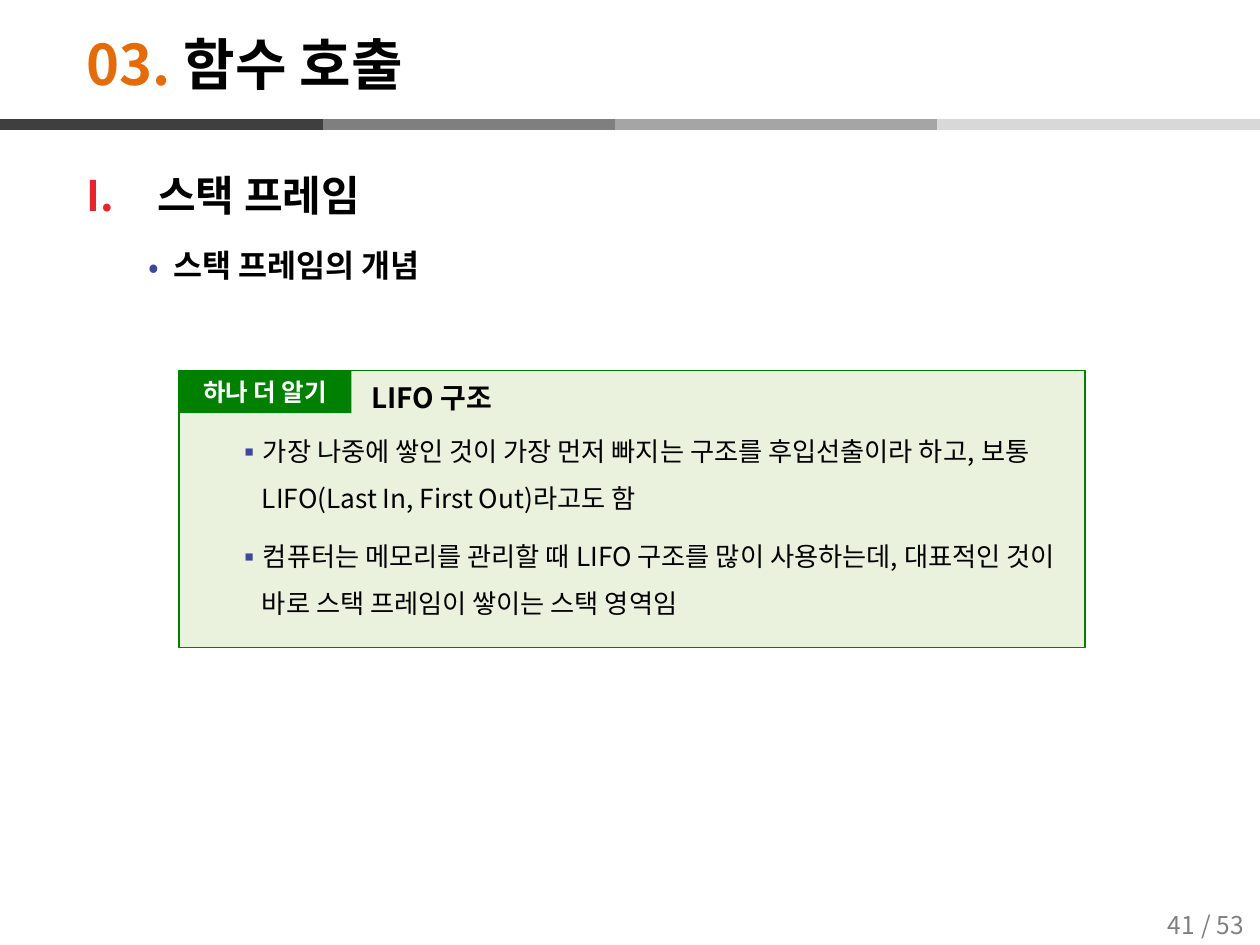
"""Build the slide on function calls and the stack frame."""
import dataclasses
import typing

import lxml.etree
import pptx
import pptx.dml.color
import pptx.enum.shapes
import pptx.enum.text
import pptx.oxml.ns
import pptx.util

Inches = pptx.util.Inches
Pt = pptx.util.Pt
RGBColor = pptx.dml.color.RGBColor
Align = pptx.enum.text.PP_ALIGN
Anchor = pptx.enum.text.MSO_ANCHOR
qn = pptx.oxml.ns.qn

FONT = "Noto Sans CJK KR"
BLACK = RGBColor(0x00, 0x00, 0x00)
WHITE = RGBColor(0xFF, 0xFF, 0xFF)
GRAY = RGBColor(0x7F, 0x7F, 0x7F)
ORANGE = RGBColor(0xE3, 0x6C, 0x09)
RED = RGBColor(0xE5, 0x24, 0x2C)
BLUE = RGBColor(0x3C, 0x47, 0x9D)
GREEN = RGBColor(0x00, 0x80, 0x00)
PALE = RGBColor(0xEA, 0xF1, 0xDD)


@dataclasses.dataclass
class Box:
    left: float
    top: float
    width: float
    height: float

    def sides(self) -> list:
        return [Inches(side) for side in dataclasses.astuple(self)]


@dataclasses.dataclass
class Stripe:
    left: float
    color: RGBColor


@dataclasses.dataclass
class Mark:
    kind: str
    sign: str
    color: RGBColor
    margin: float
    hang: float


ROMAN = Mark("buAutoNum", "romanUcPeriod", RED, 0.56, 0.56)
DOT = Mark("buChar", "•", BLUE, 0.69, 0.2)
SQUARE = Mark("buChar", "▪", BLUE, 0.49, 0.2)
STRIPES = [
    Stripe(2.32, GRAY),
    Stripe(4.88, RGBColor(0xA5, 0xA5, 0xA5)),
    Stripe(7.44, RGBColor(0xD8, 0xD8, 0xD8)),
    Stripe(0, RGBColor(0x3F, 0x3F, 0x3F)),
]
PAGES = [(9.35, "/ 53"), (9.02, "41")]
FACTS = [
    "가장 나중에 쌓인 것이 가장 먼저 빠지는 구조를 후입선출이라 하고, 보통 LIFO(Last In, First Out)라고도 함",
    "컴퓨터는 메모리를 관리할 때 LIFO 구조를 많이 사용하는데, 대표적인 것이 바로 스택 프레임이 쌓이는 스택 영역임",
]


def add_mark(para: typing.Any, mark: Mark) -> None:
    props = para._p.get_or_add_pPr()
    props.set("marL", str(Inches(mark.margin)))
    props.set("indent", str(-Inches(mark.hang)))
    tint = lxml.etree.SubElement(props, qn("a:buClr"))
    lxml.etree.SubElement(tint, qn("a:srgbClr")).set("val", str(mark.color))
    lxml.etree.SubElement(props, qn("a:buFont")).set("typeface", FONT)
    key = "type" if mark.kind == "buAutoNum" else "char"
    lxml.etree.SubElement(props, qn(f"a:{mark.kind}")).set(key, mark.sign)


def write(para: typing.Any, text: str, *, size: float, color: RGBColor = BLACK,
          bold: bool = False, align: Align = Align.LEFT, lines: float = 1,
          before: float = 0, mark: typing.Optional[Mark] = None) -> None:
    if mark:
        add_mark(para, mark)
    para.alignment = align
    para.line_spacing = lines
    para.space_before = Pt(before)
    run = para.add_run()
    run.text = text
    run.font.name = FONT
    run.font.size = Pt(size)
    run.font.bold = bold
    run.font.color.rgb = color
    face = lxml.etree.SubElement(run.font._element, qn("a:ea"))
    face.set("typeface", FONT)


def add_text(slide: typing.Any, box: Box, anchor: Anchor = Anchor.MIDDLE) -> typing.Any:
    frame = slide.shapes.add_textbox(*box.sides()).text_frame
    frame.word_wrap = True
    frame.vertical_anchor = anchor
    return frame


def add_rect(slide: typing.Any, box: Box, fill: RGBColor,
             edge: typing.Optional[RGBColor] = None) -> typing.Any:
    shape = slide.shapes.add_shape(pptx.enum.shapes.MSO_SHAPE.RECTANGLE, *box.sides())
    shape.shadow.inherit = False
    shape.fill.solid()
    shape.fill.fore_color.rgb = fill
    if edge is None:
        shape.line.fill.background()
    else:
        shape.line.color.rgb = edge
        shape.line.width = Pt(1)
    return shape.text_frame


def add_stripe(slide: typing.Any, stripe: Stripe) -> None:
    line = slide.shapes.add_connector(
        pptx.enum.shapes.MSO_CONNECTOR.STRAIGHT, Inches(stripe.left), Inches(0.99),
        Inches(stripe.left + 2.56), Inches(0.99))
    line.line.color.rgb = stripe.color
    line.line.width = Pt(6)
    lxml.etree.SubElement(line._element.spPr, qn("a:effectLst"))


def main() -> None:
    deck = pptx.Presentation()
    deck.slide_width = Inches(10)
    deck.slide_height = Inches(7.5)
    slide = deck.slides.add_slide(deck.slide_layouts[6])

    for stripe in STRIPES:
        add_stripe(slide, stripe)
    for left, text in PAGES:
        page = add_text(slide, Box(left, 7.14, 0.71, 0.39))
        write(page.paragraphs[0], text, size=14, color=GRAY, align=Align.CENTER)

    title = add_text(slide, Box(0.59, 0.2, 7.48, 0.6)).paragraphs[0]
    write(title, "03. ", size=32, color=ORANGE, bold=True)
    write(title, "함수 호출", size=32, bold=True)

    body = add_text(slide, Box(0.59, 1.1, 9.21, 5.74), Anchor.TOP)
    write(body.paragraphs[0], "스택 프레임", size=24, bold=True, lines=1.5, mark=ROMAN)
    write(body.add_paragraph(), "스택 프레임의 개념", size=18, bold=True,
          lines=1.5, before=3.6, mark=DOT)

    add_rect(slide, Box(1.42, 2.94, 7.19, 2.2), PALE, GREEN)
    facts = add_text(slide, Box(1.49, 3.28, 7.05, 0.99), Anchor.TOP)
    for index, text in enumerate(FACTS):
        para = facts.add_paragraph() if index else facts.paragraphs[0]
        write(para, text, size=15, lines=1.5, before=6 if index else 0, mark=SQUARE)

    label = add_rect(slide, Box(1.42, 2.94, 1.37, 0.34), GREEN)
    label.vertical_anchor = Anchor.MIDDLE
    write(label.paragraphs[0], "하나 더 알기", size=14, color=WHITE, bold=True,
          align=Align.CENTER)
    head = add_text(slide, Box(2.85, 2.96, 4.27, 0.25))
    write(head.paragraphs[0], "LIFO 구조", size=16, bold=True, lines=1.5)

    deck.save("out.pptx")


if __name__ == "__main__":
    main()
